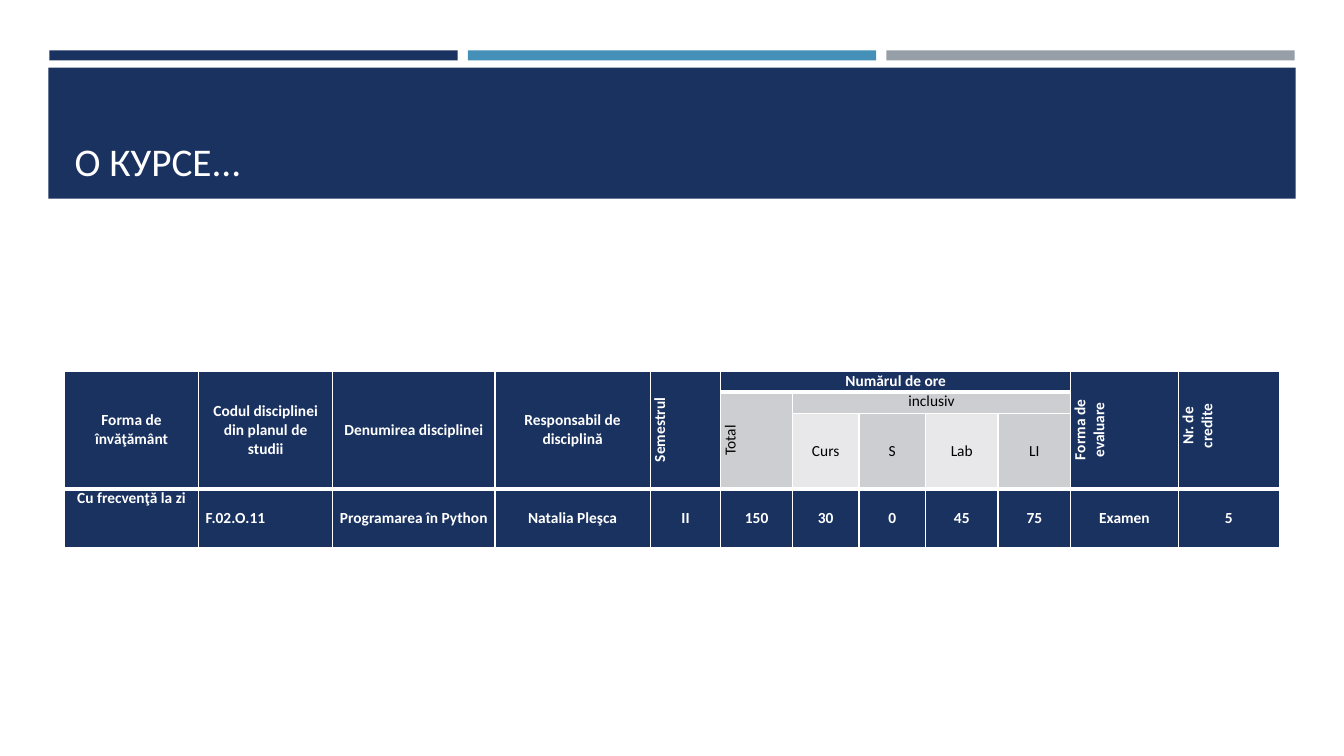
from dataclasses import dataclass

from lxml import etree
from pptx import Presentation
from pptx import util as u
from pptx.dml.color import RGBColor
from pptx.enum import shapes, text
from pptx.oxml.ns import qn


@dataclass(frozen=True)
class Theme:
    font: str = "Calibri"
    navy: str = "1A3260"
    blue: str = "4590B8"
    gray: str = "969FA7"
    band: str = "CDCED2"
    pale: str = "E8E8EA"
    white: str = "FFFFFF"
    black: str = "000000"
    title_size: int = 28
    cell_size: int = 11
    thin: int = 1
    thick: int = 3


@dataclass(frozen=True)
class Entry:
    row: int
    col: int
    wording: str
    rows: int = 1
    cols: int = 1
    fill: str = Theme.navy
    top: bool = False
    left: bool = False
    vertical: bool = False
    indent: float = 0


class CourseSlide:
    def __init__(self, deck, theme):
        self.theme = theme
        self.slide = deck.slides.add_slide(deck.slide_layouts[5])

    def style_font(self, font, size, color, bold=False):
        font.name = self.theme.font
        font.size = u.Pt(size)
        font.bold = bold
        font.color.rgb = RGBColor.from_string(color)

    def bar(self, left, top, width, height, color):
        bar = self.slide.shapes.add_shape(
            shapes.MSO_SHAPE.RECTANGLE,
            *map(u.Inches, (left, top, width, height)))
        bar.shadow.inherit = False
        bar.fill.solid()
        bar.fill.fore_color.rgb = RGBColor.from_string(color)
        bar.line.fill.background()

    def title(self, wording, left, top, width, height):
        heading = self.slide.shapes.title
        self.slide.shapes._spTree.append(heading._element)
        heading.left, heading.top, heading.width, heading.height = map(
            u.Inches, (left, top, width, height))
        frame = heading.text_frame
        frame.text = wording
        frame.auto_size = text.MSO_AUTO_SIZE.NONE
        frame.vertical_anchor = text.MSO_ANCHOR.BOTTOM
        paragraph = frame.paragraphs[0]
        paragraph.alignment = text.PP_ALIGN.LEFT
        self.style_font(paragraph.font, self.theme.title_size, self.theme.white)

    def table(self, left, top, widths, heights, entries):
        grid = self.slide.shapes.add_table(
            len(heights), len(widths), u.Inches(left), u.Inches(top),
            u.Inches(sum(widths)), u.Inches(sum(heights))).table
        grid.first_row = grid.horz_banding = False
        for column, width in zip(grid.columns, widths):
            column.width = u.Inches(width)
        for row, height in zip(grid.rows, heights):
            row.height = u.Inches(height)
        for entry in entries:
            self.entry(grid, entry)

    def entry(self, grid, entry):
        last_row = entry.row + entry.rows - 1
        last_col = entry.col + entry.cols - 1
        origin = grid.cell(entry.row, entry.col)
        if entry.rows * entry.cols > 1:
            origin.merge(grid.cell(last_row, last_col))
        origin.text = entry.wording
        origin.vertical_anchor = (text.MSO_ANCHOR.TOP if entry.top
                                  else text.MSO_ANCHOR.MIDDLE)
        if entry.vertical:
            origin._tc.get_or_add_tcPr().set("vert", "vert270")

        header = entry.fill == self.theme.navy
        body_row = entry.row == len(grid.rows) - 1
        thin, thick = self.theme.thin, self.theme.thick
        above = thick if body_row else thin
        below = thick if header and not body_row else thin
        for row in range(entry.row, last_row + 1):
            for col in range(entry.col, last_col + 1):
                cell = grid.cell(row, col)
                self.cell_style(cell, entry, header)
                edges = {"lnL": (col == entry.col, thin),
                         "lnR": (col == last_col, thin),
                         "lnT": (row == entry.row, above),
                         "lnB": (row == last_row, below)}
                self.borders(cell, {side: width for side, (outer, width)
                                    in edges.items() if outer})

    def cell_style(self, cell, entry, header):
        cell.margin_left = cell.margin_right = u.Inches(0.07)
        cell.margin_top = cell.margin_bottom = 0
        cell.fill.solid()
        cell.fill.fore_color.rgb = RGBColor.from_string(entry.fill)
        color = self.theme.white if header else self.theme.black
        for paragraph in cell.text_frame.paragraphs:
            paragraph.alignment = (text.PP_ALIGN.LEFT if entry.left
                                   else text.PP_ALIGN.CENTER)
            self.style_font(paragraph.font, self.theme.cell_size, color, header)
            if entry.indent:
                paragraph._p.get_or_add_pPr().set(
                    "marL", str(u.Inches(entry.indent)))

    def borders(self, cell, widths):
        properties = cell._tc.get_or_add_tcPr()
        for place, (side, width) in enumerate(widths.items()):
            line = etree.Element(qn(f"a:{side}"), w=str(u.Pt(width)))
            fill = etree.SubElement(line, qn("a:solidFill"))
            etree.SubElement(fill, qn("a:srgbClr"), val=self.theme.white)
            properties.insert(place, line)


def main():
    theme = Theme()
    deck = Presentation()
    deck.slide_width, deck.slide_height = u.Inches(13.33), u.Inches(7.5)
    course = CourseSlide(deck, theme)

    for index, color in enumerate((theme.navy, theme.blue, theme.gray)):
        course.bar(0.49 + index * 4.15, 0.5, 4.05, 0.1, color)
    course.bar(0.48, 0.67, 12.37, 1.3, theme.navy)
    course.title("О КУРСЕ...", 0.64, 0.77, 12.06, 1.11)

    headings = ("Forma de învăţământ",
                "Codul disciplinei\ndin planul de studii",
                "Denumirea disciplinei", "Responsabil de disciplină")
    entries = [Entry(0, col, heading, rows=3)
               for col, heading in enumerate(headings)]
    entries += [
        Entry(0, 4, "Semestrul", rows=3, vertical=True),
        Entry(0, 5, "Numărul de ore", cols=5),
        Entry(0, 10, "Forma de\nevaluare", rows=3, vertical=True),
        Entry(0, 11, "Nr. de\ncredite", rows=3, vertical=True, indent=0.08),
        Entry(1, 5, "Total", rows=2, fill=theme.band, top=True, vertical=True),
        Entry(1, 6, "inclusiv", cols=4, fill=theme.band, top=True),
    ]
    entries += [Entry(2, col, hours, fill=(theme.pale, theme.band)[col % 2])
                for col, hours in enumerate(("Curs", "S", "Lab", "LI"), 6)]
    values = ("Cu frecvenţă la zi", "F.02.O.11", "Programarea în Python",
              "Natalia Pleşca", "II", "150", "30", "0", "45", "75",
              "Examen", "5")
    entries += [Entry(3, col, value, top=col == 0, left=col == 1)
                for col, value in enumerate(values)]

    widths = (1.33, 1.33, 1.61, 1.54, 0.7, 0.71,
              0.66, 0.66, 0.72, 0.72, 1.07, 1)
    course.table(0.64, 3.68, widths, (0.21, 0.21, 0.75, 0.58), entries)
    deck.save("out.pptx")


if __name__ == "__main__":
    main()
